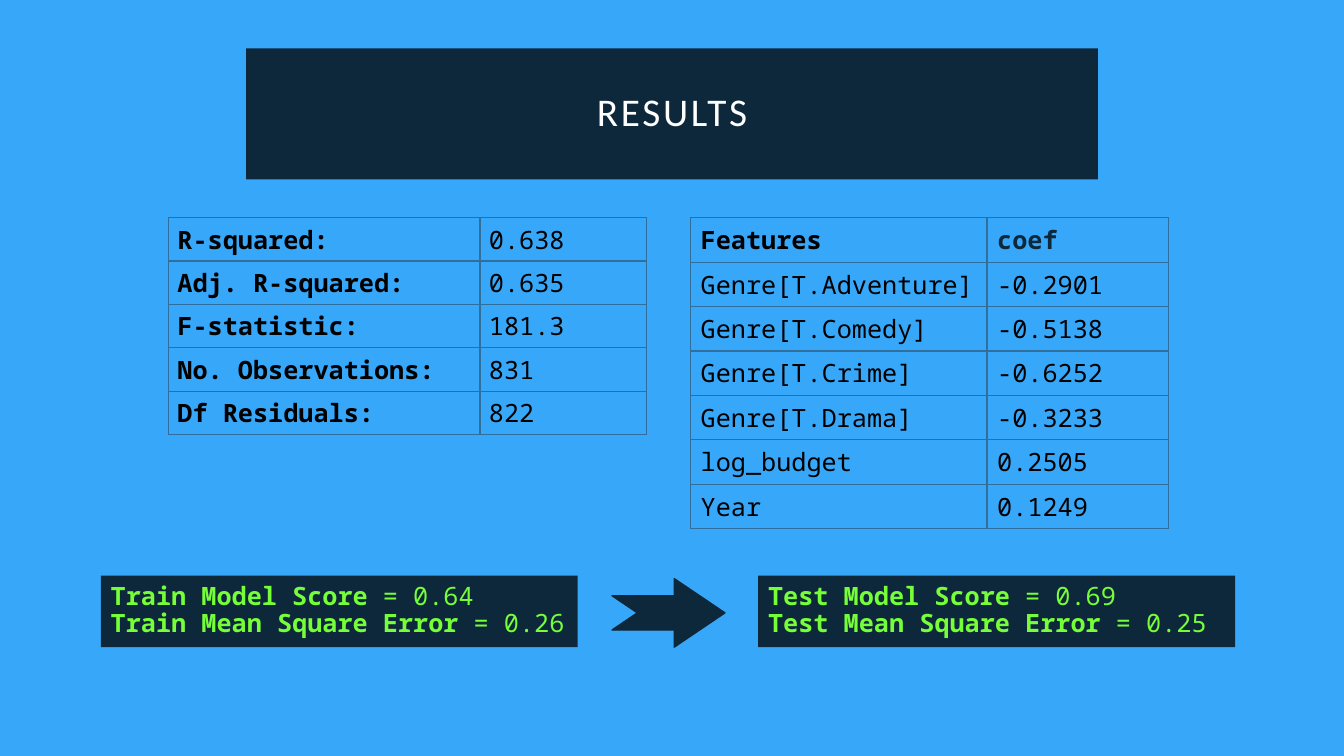
"""Build the regression results slide with two tables and the model scores."""
import pptx
import pptx.util
import pptx.dml.color
import pptx.enum.shapes
import pptx.enum.text
import pptx.oxml
import pptx.oxml.ns
import lxml.etree

Inches = pptx.util.Inches
RGBColor = pptx.dml.color.RGBColor
MIDDLE = pptx.enum.text.MSO_ANCHOR.MIDDLE
SKY = RGBColor(0x37, 0xA7, 0xF9)
NAVY = RGBColor(0x0D, 0x28, 0x3B)
GREEN = RGBColor(0x76, 0xFE, 0x38)
BLACK = RGBColor(0, 0, 0)
WHITE = RGBColor(0xFF, 0xFF, 0xFF)
BORDER = RGBColor(0x30, 0x6F, 0x9C)
MONO = {"name": "Noto Sans Mono", "size": pptx.util.Pt(18)}


def add_span(para, text, color, formats):
    span = para.add_run()
    span.text = text
    span.font.color.rgb = color
    for key, value in formats.items():
        setattr(span.font, key, value)
    return span


def add_panel(kind, left, top, width, height):
    panel = page.shapes.add_shape(
        kind, Inches(left), Inches(top), Inches(width), Inches(height))
    panel.shadow.inherit = False
    panel.fill.solid()
    panel.fill.fore_color.rgb = NAVY
    panel.line.fill.background()
    return panel


deck = pptx.Presentation()
deck.slide_width = Inches(13.33)
deck.slide_height = Inches(7.5)
page = deck.slides.add_slide(deck.slide_layouts[5])
page.background.fill.solid()
page.background.fill.fore_color.rgb = SKY

title = page.shapes.title
title_place = {"left": 2.44, "top": 0.48, "width": 8.45, "height": 1.3}
for key, value in title_place.items():
    setattr(title, key, Inches(value))
title.fill.solid()
title.fill.fore_color.rgb = NAVY
title_format = {"auto_size": pptx.enum.text.MSO_AUTO_SIZE.NONE,
                "vertical_anchor": MIDDLE, "word_wrap": True}
for side in ("left", "top", "right", "bottom"):
    title_format["margin_" + side] = Inches(0.2)
for key, value in title_format.items():
    setattr(title.text_frame, key, value)
para = title.text_frame.paragraphs[0]
para.alignment = pptx.enum.text.PP_ALIGN.CENTER
para.line_spacing = 0.9
span = add_span(para, "RESULTS", WHITE,
                {"name": "Calibri", "size": pptx.util.Pt(28), "bold": False})
span.font._element.set("spc", "200")

FIT_ROWS = [
    ("R-squared:", "0.638"),
    ("Adj. R-squared:", "0.635"),
    ("F-statistic:", "181.3"),
    ("No. Observations:", "831"),
    ("Df Residuals:", "822"),
]
COEF_ROWS = [
    ("Features", "coef"),
    ("Genre[T.Adventure]", "-0.2901"),
    ("Genre[T.Comedy]", "-0.5138"),
    ("Genre[T.Crime]", "-0.6252"),
    ("Genre[T.Drama]", "-0.3233"),
    ("log_budget", "0.2505"),
    ("Year", "0.1249"),
]
TABLES = [
    (1.67, (3.09, 1.65), 0.43, 0.09, 0.045, FIT_ROWS),
    (6.85, (2.94, 1.8), 0.44, 0.1, 0.05, COEF_ROWS),
]
for left, widths, row_height, margin_x, margin_y, rows in TABLES:
    frame = page.shapes.add_table(
        len(rows), len(widths), Inches(left), Inches(2.16),
        Inches(sum(widths)), Inches(row_height * len(rows)))
    grid = frame.table
    grid.first_row = False
    grid.horz_banding = False
    for column, width in zip(grid.columns, widths):
        column.width = Inches(width)
    for row_index, row in enumerate(rows):
        grid.rows[row_index].height = Inches(row_height)
        for column_index, text in enumerate(row):
            cell = grid.cell(row_index, column_index)
            cell_format = {
                "vertical_anchor": MIDDLE,
                "margin_left": Inches(margin_x), "margin_right": Inches(margin_x),
                "margin_top": Inches(margin_y), "margin_bottom": Inches(margin_y)}
            for key, value in cell_format.items():
                setattr(cell, key, value)
            properties = cell._tc.get_or_add_tcPr()
            for edge in ("lnL", "lnR", "lnT", "lnB"):
                line = lxml.etree.SubElement(
                    properties, pptx.oxml.ns.qn("a:" + edge), w="12700")
                solid = lxml.etree.SubElement(line, pptx.oxml.ns.qn("a:solidFill"))
                lxml.etree.SubElement(
                    solid, pptx.oxml.ns.qn("a:srgbClr"), val=str(BORDER))
            cell.fill.background()
            if rows is FIT_ROWS:
                bold = column_index == 0
            else:
                bold = row_index == 0
            add_span(cell.text_frame.paragraphs[0], text,
                     NAVY if text == "coef" else BLACK, {**MONO, "bold": bold})

SCORES = [
    (1, [("Train Model Score ", "= 0.64"), ("Train Mean Square Error ", "= 0.26")]),
    (7.52, [("Test Model Score ", "= 0.69"), ("Test Mean Square Error ", "= 0.25")]),
]
for left, lines in SCORES:
    box = add_panel(pptx.enum.shapes.MSO_SHAPE.RECTANGLE, left, 5.71, 4.73, 0.71)
    box.text_frame.word_wrap = True
    box.text_frame.vertical_anchor = MIDDLE
    for index, (label, value) in enumerate(lines):
        para = (box.text_frame.add_paragraph() if index
                else box.text_frame.paragraphs[0])
        para.alignment = pptx.enum.text.PP_ALIGN.LEFT
        para.line_spacing = 0.88
        add_span(para, label, GREEN, {**MONO, "bold": True})
        add_span(para, value, GREEN, {**MONO, "bold": False})

arrow = add_panel(
    pptx.enum.shapes.MSO_SHAPE.NOTCHED_RIGHT_ARROW, 6.07, 5.74, 1.12, 0.68)
arrow.adjustments[0] = 0.5
arrow.adjustments[1] = 0.74
arrow.line.color.rgb = NAVY
arrow.line.width = pptx.util.Pt(1)

deck.save("out.pptx")
